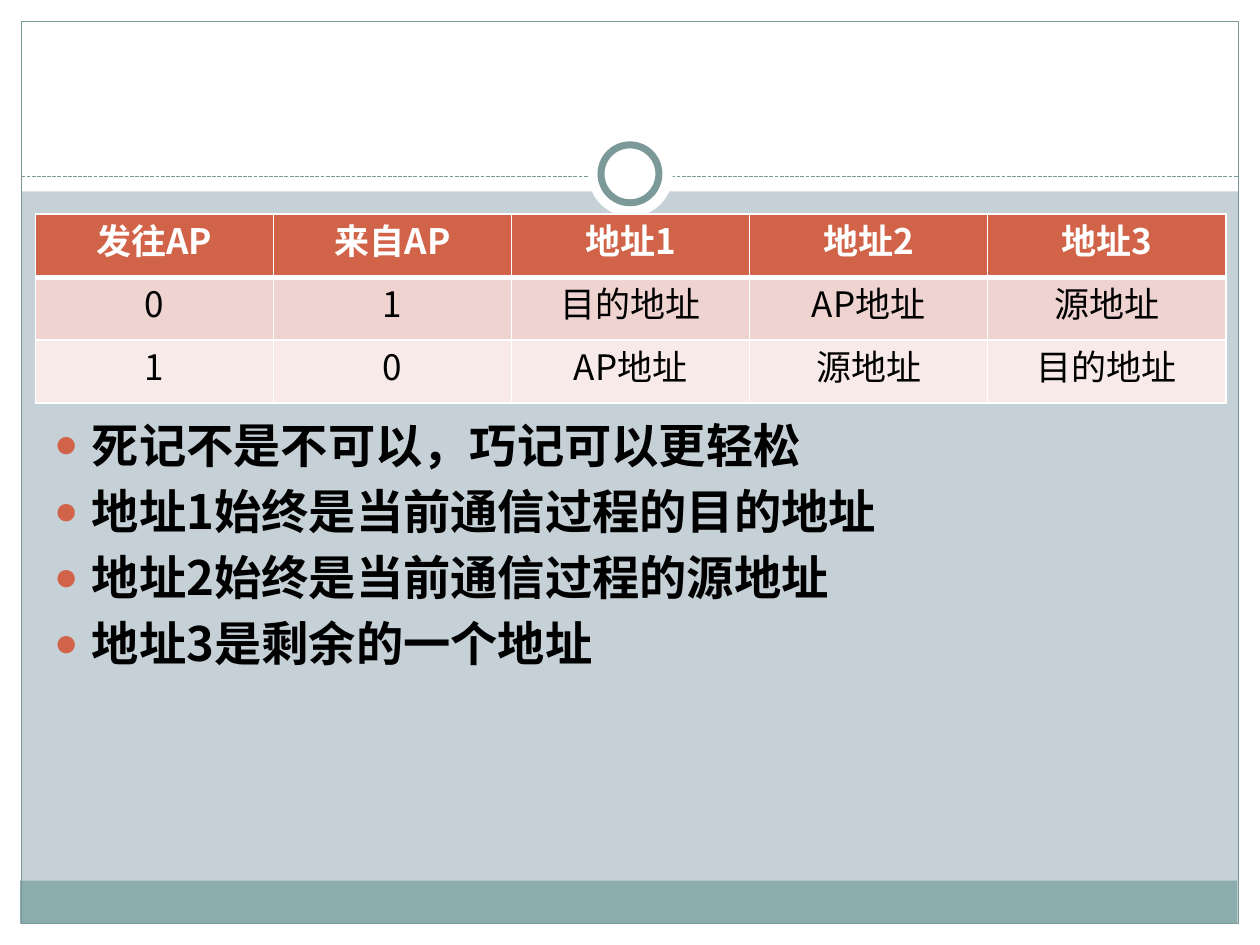
"""Build the slide on 802.11 frame addresses: a table with four memory hints."""
from lxml import etree
from pptx import Presentation
from pptx.dml.color import RGBColor
from pptx.enum.dml import MSO_LINE
from pptx.enum.shapes import MSO_CONNECTOR, MSO_SHAPE
from pptx.enum.text import MSO_ANCHOR, MSO_AUTO_SIZE, PP_ALIGN
from pptx.oxml.ns import qn
from pptx.util import Inches, Pt

RECTANGLE, OVAL = MSO_SHAPE.RECTANGLE, MSO_SHAPE.OVAL
STRAIGHT, DASH = MSO_CONNECTOR.STRAIGHT, MSO_LINE.SQUARE_DOT
CENTER, TOP, NO_FIT = PP_ALIGN.CENTER, MSO_ANCHOR.TOP, MSO_AUTO_SIZE.NONE
FONT = "Noto Sans CJK SC"
WHITE, BLACK, TEAL, RUST = "FFFFFF", "000000", "7C999A", "D16349"


def color(value):
    return RGBColor.from_string(value)


def add_run(paragraph, text, size, text_color, bold):
    run = paragraph.add_run()
    run.text = text
    run.font.size = Pt(size)
    run.font.bold = bold
    run.font.name = FONT
    run.font.color.rgb = color(text_color)
    etree.SubElement(run.font._element, qn("a:ea"), typeface=FONT)


presentation = Presentation()
presentation.slide_width, presentation.slide_height = Inches(10), Inches(7.5)
slide = presentation.slides.add_slide(presentation.slide_layouts[1])
slide.background.fill.solid()
slide.background.fill.fore_color.rgb = color("C5D1D7")
title = slide.shapes.title
title._element.getparent().remove(title._element)

decorations = [
    (RECTANGLE, 0, 7.33, 10, 0.17, WHITE, 0),
    (RECTANGLE, 0, 0, 10, 1.52, WHITE, 0),
    (RECTANGLE, 0, 0, 0.17, 7.5, WHITE, 0),
    (RECTANGLE, 9.83, 0, 0.17, 7.5, WHITE, 0),
    (RECTANGLE, 0.16, 6.99, 9.66, 0.34, "8CADAE", 0),
    (RECTANGLE, 0.17, 0.17, 9.66, 7.16, None, 0.75),
    (STRAIGHT, 0.17, 1.4, 9.66, 0, None, 0.75),
    (OVAL, 4.67, 1.05, 0.67, 0.67, WHITE, 0),
    (OVAL, 4.77, 1.15, 0.46, 0.46, WHITE, 4),
]
for kind, left, top, width, height, fill, line_width in decorations:
    if kind is STRAIGHT:
        shape = slide.shapes.add_connector(
            kind, Inches(left), Inches(top), Inches(left + width), Inches(top + height))
        shape.line.dash_style = DASH
        etree.SubElement(shape._element.spPr, qn("a:effectLst"))
    else:
        shape = slide.shapes.add_shape(
            kind, Inches(left), Inches(top), Inches(width), Inches(height))
        shape.shadow.inherit = False
        shape.fill.background()
    if fill:
        shape.fill.solid()
        shape.fill.fore_color.rgb = color(fill)
    if line_width:
        shape.line.color.rgb = color(TEAL)
        shape.line.width = Pt(line_width)
    else:
        shape.line.fill.background()

hints = [
    "死记不是不可以，巧记可以更轻松",
    "地址1始终是当前通信过程的目的地址",
    "地址2始终是当前通信过程的源地址",
    "地址3是剩余的一个地址",
]
body = slide.placeholders[1]
body.left, body.top = Inches(0.33), Inches(1.67)
body.width, body.height = Inches(9.3), Inches(5)
frame = body.text_frame
frame.auto_size = NO_FIT
frame.vertical_anchor = TOP
frame.margin_top = Inches(1.63)
for index, hint in enumerate(hints):
    paragraph = frame.add_paragraph() if index else frame.paragraphs[0]
    paragraph.line_spacing = 1.0
    paragraph.space_before = Pt(5.4)
    properties = paragraph._p.get_or_add_pPr()
    properties.set("marL", str(Inches(0.3)))
    properties.set("indent", str(Inches(-0.3)))
    bullet_color = etree.SubElement(properties, qn("a:buClr"))
    etree.SubElement(bullet_color, qn("a:srgbClr"), val=RUST)
    etree.SubElement(properties, qn("a:buSzPct"), val="85000")
    etree.SubElement(properties, qn("a:buChar"), char="●")
    add_run(paragraph, hint, 27, BLACK, True)

rows = [
    ["发往AP", "来自AP", "地址1", "地址2", "地址3"],
    ["0", "1", "目的地址", "AP地址", "源地址"],
    ["1", "0", "AP地址", "源地址", "目的地址"],
]
row_fills = [RUST, "EED3D0", "F7EAE9"]
table = slide.shapes.add_table(
    len(rows), len(rows[0]), Inches(0.28), Inches(1.7), Inches(9.45), Inches(1.5)).table
for row_index, row in enumerate(rows):
    header = row_index == 0
    borders = {"a:lnL": 1, "a:lnR": 1,
               "a:lnT": 3 if row_index == 1 else 1, "a:lnB": 3 if header else 1}
    for column_index, text in enumerate(row):
        cell = table.cell(row_index, column_index)
        cell.margin_left = cell.margin_right = Inches(0.07)
        cell.margin_top = cell.margin_bottom = 0
        cell.vertical_anchor = TOP
        properties = cell._tc.get_or_add_tcPr()
        for tag, width in borders.items():
            border = etree.SubElement(properties, qn(tag), w=str(Pt(width)))
            border_fill = etree.SubElement(border, qn("a:solidFill"))
            etree.SubElement(border_fill, qn("a:srgbClr"), val=WHITE)
        cell.fill.solid()
        cell.fill.fore_color.rgb = color(row_fills[row_index])
        paragraph = cell.text_frame.paragraphs[0]
        paragraph.alignment = CENTER
        add_run(paragraph, text, 20, WHITE if header else BLACK, header)

presentation.save("out.pptx")
